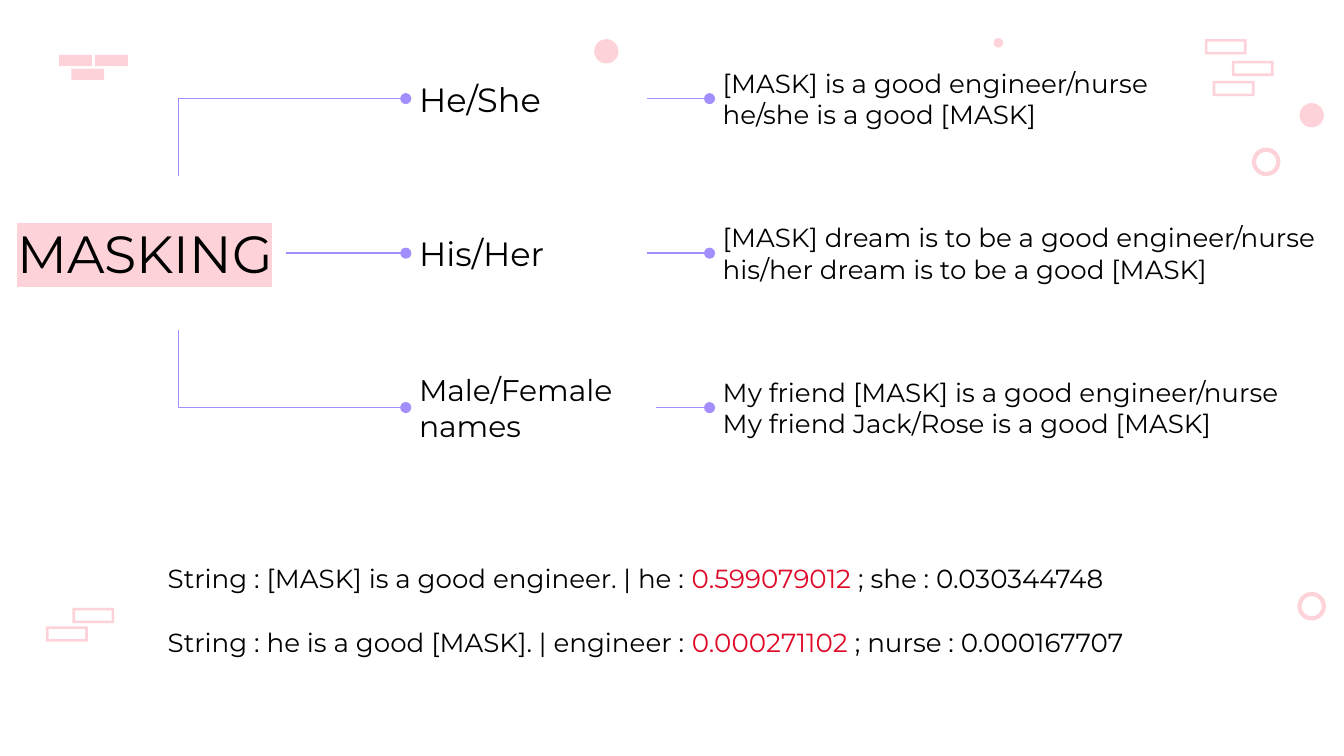
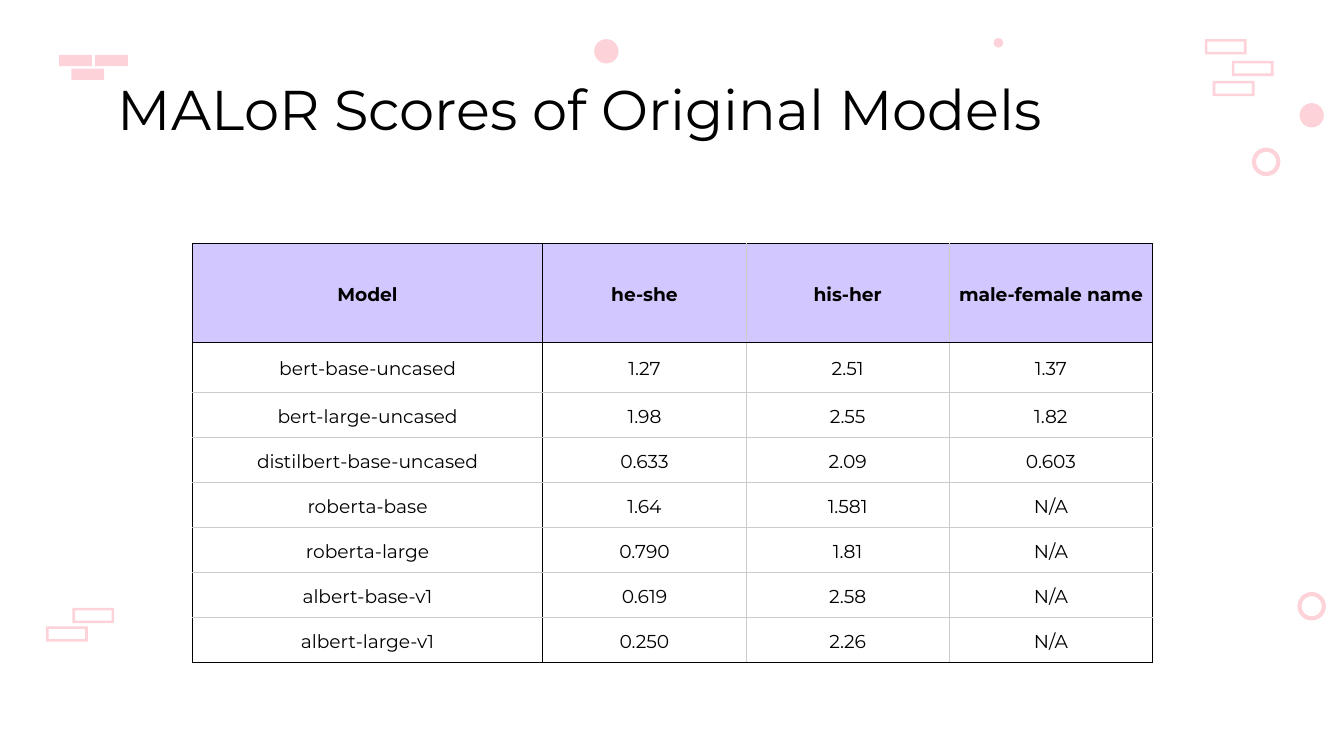
from lxml.etree import SubElement
from pptx import Presentation
from pptx.dml.color import RGBColor
from pptx.enum.shapes import MSO_CONNECTOR, MSO_SHAPE
from pptx.enum.text import MSO_ANCHOR, PP_ALIGN
from pptx.oxml.ns import qn
from pptx.util import Cm, Pt

FONT = "Montserrat"
BLACK, WHITE, GREY = "000000", "FFFFFF", "CCCCCC"
PINK, PURPLE, INDIGO, RED = "FDD3D9", "A48EFD", "5344BB", "DE0A28"

BRANCHES = [  # label, label size, label width, examples, examples width
    ("He/She", 18, 4.55, "[MASK] is a good engineer/nurse\nhe/she is a good [MASK]", 9.45),
    ("His/Her", 18, 4.55,
     "[MASK] dream is to be a good engineer/nurse\nhis/her dream is to be a good [MASK]", 13.08),
    ("Male/Female names", 16, 4.73,
     "My friend [MASK] is a good engineer/nurse\nMy friend Jack/Rose is a good [MASK]", 12.29),
]
PROBABILITIES = [
    ("String : [MASK] is a good engineer. | he : ", "0.599079012", " ; she : 0.030344748"),
    ("String : he is a good [MASK]. | engineer : ", "0.000271102", " ; nurse : 0.000167707"),
]
SCORES = [
    ("Model", "he-she", "his-her", "male-female name"),
    ("bert-base-uncased", "1.27", "2.51", "1.37"),
    ("bert-large-uncased", "1.98", "2.55", "1.82"),
    ("distilbert-base-uncased", "0.633", "2.09", "0.603"),
    ("roberta-base", "1.64", "1.581", "N/A"),
    ("roberta-large", "0.790", "1.81", "N/A"),
    ("albert-base-v1", "0.619", "2.58", "N/A"),
    ("albert-large-v1", "0.250", "2.26", "N/A"),
]


def color(value):
    return RGBColor.from_string(value)


def format_run(run, size, value=BLACK, bold=False):
    run.font.name = FONT
    run.font.size = Pt(size)
    run.font.bold = bold
    run.font.color.rgb = color(value)


def add_text(slide, left, top, width, height, text, size, anchor=MSO_ANCHOR.MIDDLE):
    box = slide.shapes.add_textbox(Cm(left), Cm(top), Cm(width), Cm(height))
    frame = box.text_frame
    frame.word_wrap = True
    frame.vertical_anchor = anchor
    frame.margin_left = frame.margin_right = frame.margin_top = frame.margin_bottom = Cm(0.25)
    frame.text = text
    for paragraph in frame.paragraphs:
        for run in paragraph.runs:
            format_run(run, size)
    return box


def add_ornament(slide, kind, left, top, width, height, outlined=False):
    shape = slide.shapes.add_shape(kind, Cm(left), Cm(top), Cm(width), Cm(height))
    shape.shadow.inherit = False
    if outlined:
        shape.fill.background()
        shape.line.color.rgb = color(PINK)
        shape.line.width = Pt(2.25)
    else:
        shape.fill.solid()
        shape.fill.fore_color.rgb = color(PINK)
        shape.line.fill.background()
    return shape


def add_decoration(slide):
    """White background with pink bricks, dots and rings at the edges."""
    slide.background.fill.solid()
    slide.background.fill.fore_color.rgb = color(WHITE)
    for left, top in [(1.35, 1.3), (1.12, 1.04), (1.8, 1.04)]:
        add_ornament(slide, MSO_SHAPE.RECTANGLE, left, top, 0.62, 0.21)
    for left, top in [(23.28, 1.15), (22.77, 0.74), (22.92, 1.53), (1.37, 11.49), (0.87, 11.84)]:
        brick = add_ornament(slide, MSO_SHAPE.FRAME, left, top, 0.79, 0.29)
        brick.adjustments[0] = 0.17
    for left, top, size in [(18.78, 0.72, 0.18), (24.56, 1.95, 0.46), (11.23, 0.74, 0.46)]:
        add_ornament(slide, MSO_SHAPE.OVAL, left, top, size, size)
    for left, top in [(24.56, 11.23), (23.7, 2.83)]:
        add_ornament(slide, MSO_SHAPE.OVAL, left, top, 0.46, 0.46, outlined=True)


def add_line(slide, begin, end, value=PURPLE, kind=MSO_CONNECTOR.STRAIGHT, dot=True):
    """Draw a line between points in cm, with a dot where it begins."""
    connector = slide.shapes.add_connector(kind, *(Cm(length) for length in begin + end))
    connector.line.color.rgb = color(value)
    connector.line.width = Pt(0.75)
    properties = connector._element.spPr
    if kind == MSO_CONNECTOR.ELBOW:
        properties.find(qn("a:prstGeom")).set("prst", "bentConnector2")
    if dot:
        SubElement(properties.find(qn("a:ln")), qn("a:headEnd"), type="oval")
    SubElement(properties, qn("a:effectLst"))
    return connector


def add_masking_tree(slide, left, top):
    """Root word, three branches and the example sentences of each."""
    pitch, row_height, label_height = 2.92, 2.57, 1.24
    label_left, example_left = left + 7.59, left + 13.33
    middles = [top + row_height / 2 + row * pitch for row in range(len(BRANCHES))]

    # Root with highlighted word
    root_width, root_top = 6.58, middles[1] - pitch / 2
    root = add_text(slide, left, root_top, root_width, pitch, "MASKING", 28)
    run_properties = root.text_frame.paragraphs[0].runs[0]._r.get_or_add_rPr()
    highlight = SubElement(run_properties, qn("a:highlight"))
    SubElement(highlight, qn("a:srgbClr"), val=PINK)
    run_properties.find(qn("a:solidFill")).addnext(highlight)
    root_center = left + root_width / 2

    # Branches
    for row, (label, size, label_width, examples, example_width) in enumerate(BRANCHES):
        middle = middles[row]
        label_box = add_text(slide, label_left, middle - label_height / 2,
                             label_width, label_height, label, size)
        example_box = add_text(slide, example_left, middle - row_height / 2,
                               example_width, row_height, examples, 14)
        line = add_line(slide, (example_left, middle), (label_left + label_width, middle))
        line.begin_connect(example_box, 1)
        line.end_connect(label_box, 3)

        if row == 1:
            branch = add_line(slide, (label_left, middle), (left + 5.33, middle))
        else:
            root_edge = root_top if row == 0 else root_top + pitch
            branch = add_line(slide, (label_left, middle), (root_center, root_edge),
                              kind=MSO_CONNECTOR.ELBOW)
            branch.end_connect(root, 0 if row == 0 else 2)
        branch.begin_connect(label_box, 1)

    # Small point on the middle branch
    point = (left + 6.83, middles[1])
    add_line(slide, point, point, INDIGO, dot=False)


def add_probabilities(slide, left, top, width, height):
    box = add_text(slide, left, top, width, height, "", 14, MSO_ANCHOR.TOP)
    for row, parts in enumerate(PROBABILITIES):
        frame = box.text_frame
        paragraph = frame.add_paragraph() if row else frame.paragraphs[0]
        if row:
            paragraph.space_before = Pt(17)
        for text, value in zip(parts, (BLACK, RED, BLACK)):
            run = paragraph.add_run()
            run.text = text
            format_run(run, 14, value)


def set_borders(cell, sides):
    """Set the cell's borders from (side, colour) pairs."""
    properties = cell._tc.get_or_add_tcPr()
    for side, value in sides:
        line = SubElement(properties, qn(f"a:ln{side}"), w=str(Pt(0.6)))
        SubElement(SubElement(line, qn("a:solidFill")), qn("a:srgbClr"), val=value)


def add_score_table(slide, left, top):
    widths = [6.63] + [3.84] * 3
    heights = [1.88, 0.94] + [0.85] * 6
    table = slide.shapes.add_table(len(heights), len(widths), Cm(left), Cm(top),
                                   Cm(sum(widths)), Cm(sum(heights))).table
    table.first_row = table.horz_banding = False
    for column, width in zip(table.columns, widths):
        column.width = Cm(width)
    for row, height in zip(table.rows, heights):
        row.height = Cm(height)

    last_row, last_column = len(heights) - 1, len(widths) - 1
    for row, texts in enumerate(SCORES):
        for column, text in enumerate(texts):
            cell = table.cell(row, column)
            # Black frame, header rule and first column; grey inside
            black_sides = [("L", column <= 1), ("R", column in (0, last_column)),
                           ("T", row <= 1), ("B", row in (0, last_row))]
            set_borders(cell, [(side, BLACK if black else GREY) for side, black in black_sides])
            if row == 0:
                cell.fill.solid()
                cell.fill.fore_color.rgb = color(PURPLE)
                fill = cell._tc.tcPr.find(qn("a:solidFill"))
                SubElement(fill.find(qn("a:srgbClr")), qn("a:alpha"), val="49000")
            else:
                cell.fill.background()
            cell.margin_left = cell.margin_right = Cm(0.08)
            cell.margin_top = cell.margin_bottom = Cm(0.05)
            cell.vertical_anchor = MSO_ANCHOR.MIDDLE
            cell.text_frame.text = text
            paragraph = cell.text_frame.paragraphs[0]
            paragraph.alignment = PP_ALIGN.CENTER
            paragraph.line_spacing = 1.15
            format_run(paragraph.runs[0], 10, bold=row == 0)


def add_slide(presentation):
    slide = presentation.slides.add_slide(presentation.slide_layouts[6])
    add_decoration(slide)
    return slide


def main():
    presentation = Presentation()
    presentation.slide_width = Cm(25.4)
    presentation.slide_height = Cm(14.29)

    masking_slide = add_slide(presentation)
    add_masking_tree(masking_slide, 0.08, 0.58)
    add_probabilities(masking_slide, 2.92, 10.39, 19.76, 3.1)

    score_slide = add_slide(presentation)
    add_text(score_slide, 1.98, 1.47, 20.02, 1.14, "MALoR Scores of Original Models", 30)
    add_score_table(score_slide, 3.63, 4.6)

    presentation.save("out.pptx")


if __name__ == "__main__":
    main()
